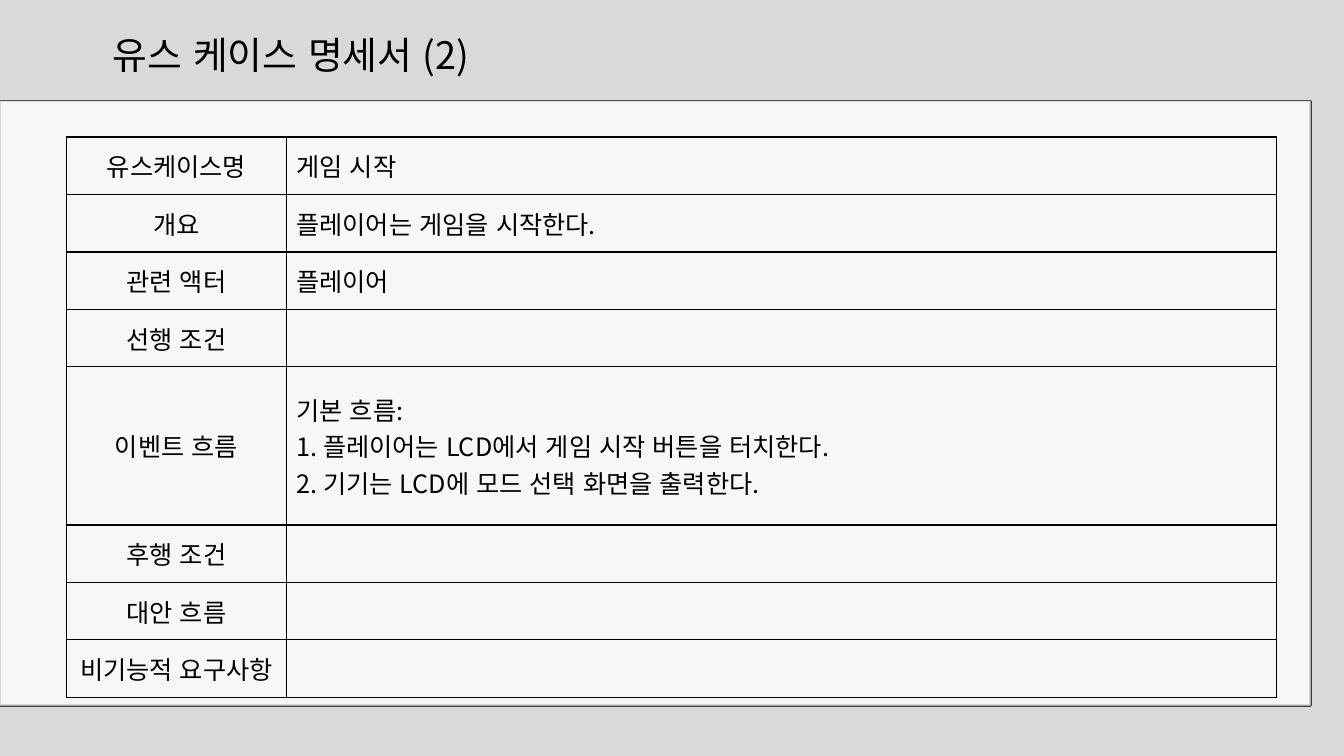
import math

import pptx
import pptx.dml.color
import pptx.enum.lang
import pptx.enum.text
import pptx.oxml
import pptx.oxml.ns
import pptx.util
from pptx.util import Inches

FONT = "Noto Sans CJK KR"
NAMESPACE = pptx.oxml.ns.nsdecls("a")


def color(hex_value):
    return pptx.dml.color.RGBColor.from_string(hex_value)


def format_text(text_frame, size, alignment):
    for paragraph in text_frame.paragraphs:
        paragraph.alignment = alignment
        for run in paragraph.runs:
            values = {
                "name": FONT,
                "size": pptx.util.Pt(size),
                "language_id": pptx.enum.lang.MSO_LANGUAGE_ID.KOREAN,
            }
            for name, value in values.items():
                setattr(run.font, name, value)
            run.font.color.rgb = color("000000")
            east_asian = f'<a:ea {NAMESPACE} typeface="{FONT}"/>'
            run.font._element.append(pptx.oxml.parse_xml(east_asian))


presentation = pptx.Presentation()
presentation.slide_width = Inches(13.33)
presentation.slide_height = Inches(7.5)
slide = presentation.slides.add_slide(presentation.slide_layouts[5])
slide.background.fill.solid()
slide.background.fill.fore_color.rgb = color("D9D9D9")

# Title
title = slide.shapes.title
title_box = {
    "left": Inches(1.02), "top": Inches(0.26),
    "width": Inches(4.5), "height": Inches(0.56),
}
for name, value in title_box.items():
    setattr(title, name, value)
title.text_frame.text = "유스 케이스 명세서 (2)"
title.text_frame.auto_size = pptx.enum.text.MSO_AUTO_SIZE.NONE
title.text_frame.vertical_anchor = pptx.enum.text.MSO_ANCHOR.MIDDLE
format_text(title.text_frame, 27, pptx.enum.text.PP_ALIGN.LEFT)

# Hand-drawn panel: a wavy line, then a wavy translucent fill partly over it
LEFT, TOP, RIGHT, BOTTOM, RADIUS = 0.24, 0.98, 13.1, 7.3, 0.18
SPACING, WAVE, ARC_STEPS = 0.45, 0.015, 4
corners = [  # arc centre, running clockwise from top left
    (LEFT + RADIUS, TOP + RADIUS), (RIGHT - RADIUS, TOP + RADIUS),
    (RIGHT - RADIUS, BOTTOM - RADIUS), (LEFT + RADIUS, BOTTOM - RADIUS),
]
for part, phase in (("line", 0), ("fill", 2)):
    points = []
    for side, (x, y) in enumerate(corners):
        for step in range(ARC_STEPS + 1):
            angle = math.pi + (side + step / ARC_STEPS) * math.pi / 2
            points.append((x + RADIUS * math.cos(angle),
                           y + RADIUS * math.sin(angle)))
        next_x, next_y = corners[(side + 1) % 4]
        length = math.hypot(next_x - x, next_y - y)
        steps = round(length / SPACING)
        for step in range(1, steps):
            share = step / steps
            offset = RADIUS + WAVE * math.sin(length * share * 4.3 + phase + side)
            points.append((x + (next_x - x) * share + offset * math.cos(angle),
                           y + (next_y - y) * share + offset * math.sin(angle)))
    builder = slide.shapes.build_freeform(*points[0], scale=Inches(1))
    builder.add_line_segments(points[1:], close=True)
    panel = builder.convert_to_shape()
    panel.shadow.inherit = False
    if part == "line":
        panel.fill.background()
        panel.line.color.rgb = color("404040")
        panel.line.width = pptx.util.Pt(1.75)
    else:
        panel.line.fill.background()
        panel.fill.solid()
        panel.fill.fore_color.rgb = color("FFFFFF")
        fill_color = panel._element.spPr.find(".//" + pptx.oxml.ns.qn("a:srgbClr"))
        fill_color.append(pptx.oxml.parse_xml(f'<a:alpha {NAMESPACE} val="80000"/>'))

# Use case table
rows = [
    ("유스케이스명", "게임 시작"),
    ("개요", "플레이어는 게임을 시작한다."),
    ("관련 액터", "플레이어"),
    ("선행 조건", ""),
    ("이벤트 흐름", "기본 흐름:\n"
     "1. 플레이어는 LCD에서 게임 시작 버튼을 터치한다.\n"
     "2. 기기는 LCD에 모드 선택 화면을 출력한다."),
    ("후행 조건", ""),
    ("대안 흐름", ""),
    ("비기능적 요구사항", ""),
]
table = slide.shapes.add_table(
    len(rows), 2, Inches(0.66), Inches(1.36), Inches(12), Inches(5.54)).table
table.first_row = table.horz_banding = False
table.columns[0].width = Inches(2.18)
table.columns[1].width = Inches(9.82)
alignments = (pptx.enum.text.PP_ALIGN.CENTER, pptx.enum.text.PP_ALIGN.LEFT)

for row_index, texts in enumerate(rows):
    table.rows[row_index].height = Inches(1.57 if "\n" in texts[1] else 0.57)
    for column_index, text in enumerate(texts):
        cell = table.cell(row_index, column_index)
        cell.text = text
        cell.vertical_anchor = pptx.enum.text.MSO_ANCHOR.MIDDLE
        format_text(cell.text_frame, 18, alignments[column_index])
        properties = cell._tc.get_or_add_tcPr()
        for edge in ("lnL", "lnR", "lnT", "lnB"):
            properties.append(pptx.oxml.parse_xml(
                f'<a:{edge} {NAMESPACE} w="12700"><a:solidFill>'
                f'<a:srgbClr val="000000"/></a:solidFill></a:{edge}>'))
        cell.fill.background()

presentation.save("out.pptx")
